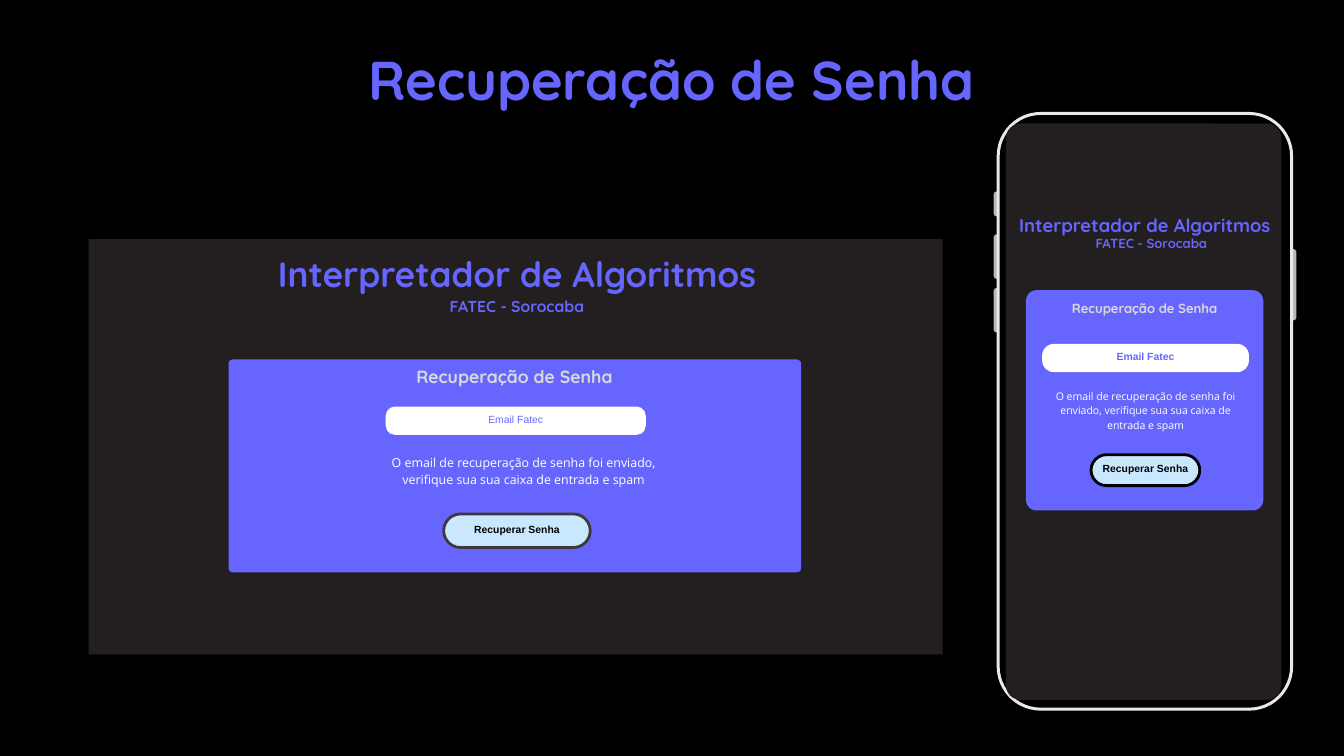
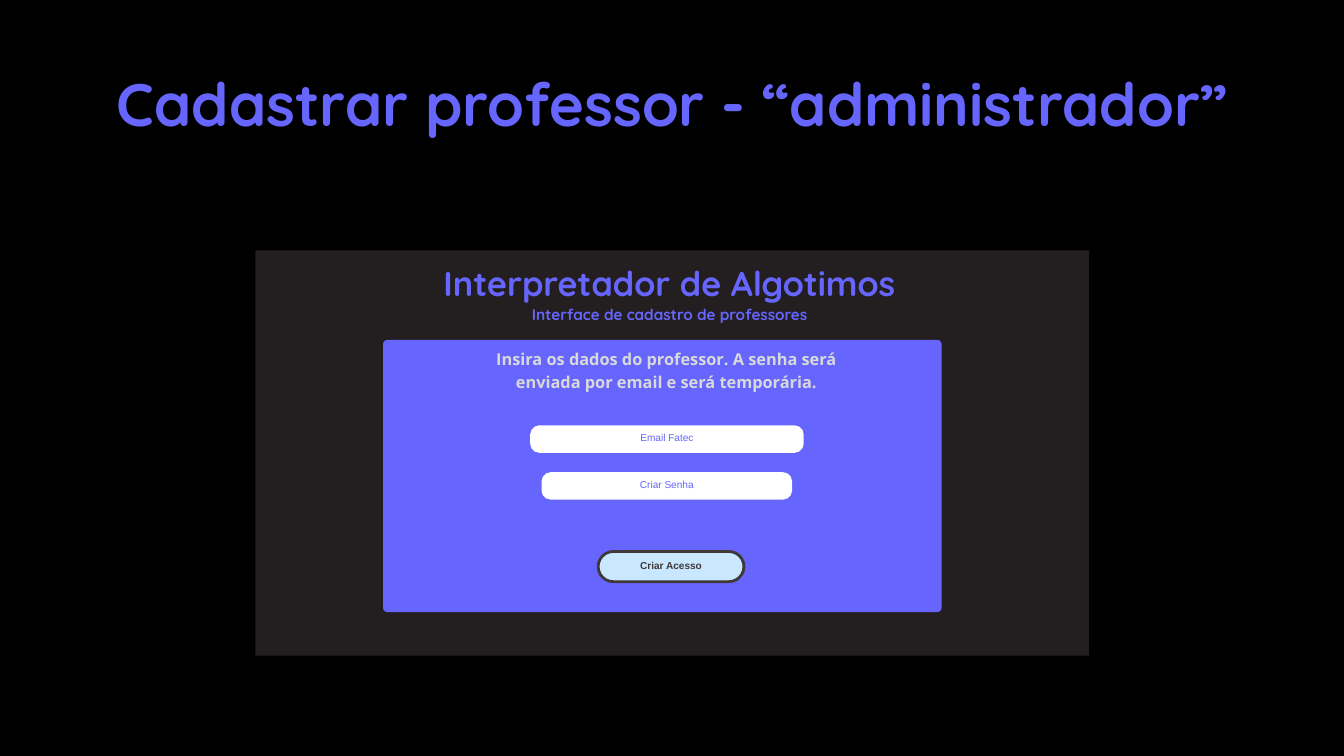
from typing import NamedTuple

from lxml.etree import SubElement
from pptx import Presentation
from pptx.dml.color import RGBColor
from pptx.enum.shapes import MSO_SHAPE
from pptx.enum.text import MSO_ANCHOR, PP_ALIGN
from pptx.util import Cm, Pt

BLACK = "000000"
WHITE = "FFFFFF"
PANEL = "231F20"
VIOLET = "6666FF"
LIGHT_GREY = "D9D9D9"
BUTTON_BLUE = "C9E8FF"
BUTTON_EDGE = "403838"
PHONE_EDGE = "E9E9E9"
PHONE_KEYS = "B8B8B8"

TITLE_FONT = "Quicksand"
BODY_FONT = "Open Sans"
FORM_FONT = "Arial"
LINE_SPACING = 1.4

APP_NAME = "Interpretador de Algoritmos"
SCHOOL = "FATEC - Sorocaba"
RECOVERY = "Recuperação de Senha"
EMAIL = "Email Fatec"
RECOVER = "Recuperar Senha"
SENT_MESSAGE = (
    "O email de recuperação de senha foi enviado, "
    "verifique sua sua caixa de entrada e spam"
)


class Box(NamedTuple):
    """A rectangle on the page, in centimetres."""

    left: float
    top: float
    width: float
    height: float

    def inner(self, left, top, width, height):
        """Return a box whose place is counted from this box's corner."""
        return Box(self.left + left, self.top + top, width, height)

    def lengths(self):
        """Return the four measures as slide lengths."""
        return [Cm(value) for value in self]


def colour(code):
    """Turn a hex string into a colour."""
    return RGBColor.from_string(code)


def write(frame, text, size, code, font=TITLE_FONT, bold=True):
    """Write one centred paragraph into a text frame."""
    frame.word_wrap = True
    para = frame.paragraphs[0]
    para.alignment = PP_ALIGN.CENTER
    para.line_spacing = Pt(round(size * LINE_SPACING, 1))
    span = para.add_run()
    span.text = text
    span.font.name = font
    span.font.size = Pt(size)
    span.font.bold = bold
    span.font.color.rgb = colour(code)


def add_label(page, box, text, size, code=VIOLET, font=TITLE_FONT, bold=True):
    """Add a text box without margins."""
    frame = page.shapes.add_textbox(*box.lengths()).text_frame
    frame.margin_left = frame.margin_right = 0
    frame.margin_top = frame.margin_bottom = 0
    write(frame, text, size, code, font, bold)


def add_block(page, box, fill, radius=0, edge=None, weight=3):
    """Add a filled rectangle, rounded when a radius is given."""
    kind = MSO_SHAPE.ROUNDED_RECTANGLE if radius else MSO_SHAPE.RECTANGLE
    block = page.shapes.add_shape(kind, *box.lengths())
    if radius:
        block.adjustments[0] = min(0.5, radius / min(box.width, box.height))
    block.shadow.inherit = False
    block.fill.solid()
    block.fill.fore_color.rgb = colour(fill)
    if edge:
        block.line.color.rgb = colour(edge)
        block.line.width = Pt(weight)
    else:
        block.line.fill.background()
    return block


def caption(block, text, size, code, bold):
    """Write a form caption slightly above the middle of a block."""
    frame = block.text_frame
    frame.vertical_anchor = MSO_ANCHOR.MIDDLE
    frame.margin_left = frame.margin_right = frame.margin_top = 0
    frame.margin_bottom = Cm(0.18)
    write(frame, text, size, code, FORM_FONT, bold)


def add_field(page, box, text, size=11.1, bold=False, radius=0.35):
    """Add a white input field."""
    caption(add_block(page, box, WHITE, radius), text, size, VIOLET, bold)


def add_button(page, box, text, size=11.1, code=BLACK, edge=BUTTON_EDGE):
    """Add a pill-shaped button."""
    pill = add_block(page, box, BUTTON_BLUE, box.height / 2, edge)
    caption(pill, text, size, code, True)


def add_page(deck, title, box, size):
    """Add a black page with its title."""
    page = deck.slides.add_slide(deck.slide_layouts[6])
    page.background.fill.solid()
    page.background.fill.fore_color.rgb = colour(BLACK)
    add_label(page, box, title, size)
    return page


def recovery_web(page, box):
    """Draw the password recovery screen of the web version."""
    add_block(page, box, PANEL)
    add_label(page, box.inner(0.05, 0.25, box.width, 1.75), APP_NAME, 37.7)
    add_label(page, box.inner(0.05, 2.06, box.width, 0.79), SCHOOL, 16.9)
    form = box.inner(5.29, 4.55, 21.64, 8.05)
    add_block(page, form, VIOLET, 0.16)
    add_label(page, form.inner(-5.33, 0.1, box.width, 0.89), RECOVERY, 18.9, LIGHT_GREY)
    add_field(page, form.inner(5.94, 1.78, 9.83, 1.07), EMAIL)
    add_label(page, form.inner(5.38, 3.51, 11.56, 1.24), SENT_MESSAGE, 13.3,
              WHITE, BODY_FONT, False)
    add_button(page, form.inner(8.13, 5.84, 5.54, 1.27), RECOVER)


def phone_case(page, box):
    """Draw the phone with its side keys and screen."""
    left_keys = [(-0.17, 2.95, 0.94), (-0.17, 4.57, 1.68), (-0.17, 6.6, 1.68)]
    right_key = (box.width - 0.12, 5.13, 2.69)
    for left, top, height in [*left_keys, right_key]:
        add_block(page, box.inner(left, top, 0.3, height), PHONE_KEYS, 0.11)
    add_block(page, box, BLACK, 1.61, PHONE_EDGE, 3.2)
    add_block(page, box.inner(0.29, 0.38, 10.41, 21.79), PANEL, 0.56)


def recovery_phone(page, box):
    """Draw the password recovery screen of the phone version."""
    phone_case(page, box)
    add_label(page, box.inner(-0.09, 3.66, 11.25, 0.94), APP_NAME, 19.8)
    add_label(page, box.inner(1.66, 4.52, 8.26, 0.66), SCHOOL, 14.1)
    form = box.inner(1.05, 6.68, 8.97, 8.33)
    add_block(page, form, VIOLET, 0.4)
    add_label(page, form.inner(0, 0.3, form.width, 0.64), RECOVERY, 14.1, LIGHT_GREY)
    add_field(page, form.inner(0.61, 2.03, 7.82, 1.07), EMAIL, bold=True, radius=0.45)
    add_label(page, form.inner(0.61, 3.68, 7.82, 1.6), SENT_MESSAGE, 11.3,
              WHITE, BODY_FONT, False)
    add_button(page, form.inner(2.46, 6.22, 4.11, 1.17), RECOVER, edge=BLACK)


def teacher_web(page, box):
    """Draw the screen that registers a teacher."""
    add_block(page, box, PANEL)
    add_label(page, box.inner(-0.1, 0.2, box.width, 1.73),
              "Interpretador de Algotimos", 36.8)
    add_label(page, box.inner(-0.1, 1.93, box.width, 0.76),
              "Interface de cadastro de professores", 16.5)
    form = box.inner(4.83, 3.38, 21.11, 10.29)
    add_block(page, form, VIOLET, 0.16)
    add_label(page, form.inner(3.35, 0.23, 14.73, 1.65),
              "Insira os dados do professor. A senha será enviada por email "
              "e será temporária.", 17.5, LIGHT_GREY, BODY_FONT)
    add_field(page, form.inner(5.56, 3.23, 10.34, 1.04), EMAIL, 10.8)
    add_field(page, form.inner(5.99, 5, 9.47, 1.04), "Criar Senha", 10.8)
    add_button(page, form.inner(8.13, 8, 5.51, 1.14), "Criar Acesso", 10.8, BUTTON_EDGE)


def main():
    """Build the two pages and save the deck."""
    deck = Presentation()
    deck.slide_width = Cm(50.8)
    deck.slide_height = Cm(28.58)

    page = add_page(deck, RECOVERY, Box(9.25, 1.32, 32.28, 2.77), 58.5)
    recovery_web(page, Box(3.35, 9.04, 32.28, 15.7))
    recovery_phone(page, Box(37.73, 4.29, 11.09, 22.52))

    page = add_page(deck, "Cadastrar professor - “administrador”",
                    Box(1.88, 2.08, 47.07, 3.05), 64.3)
    teacher_web(page, Box(9.65, 9.47, 31.52, 15.32))

    deck.save("out.pptx")


if __name__ == "__main__":
    main()
